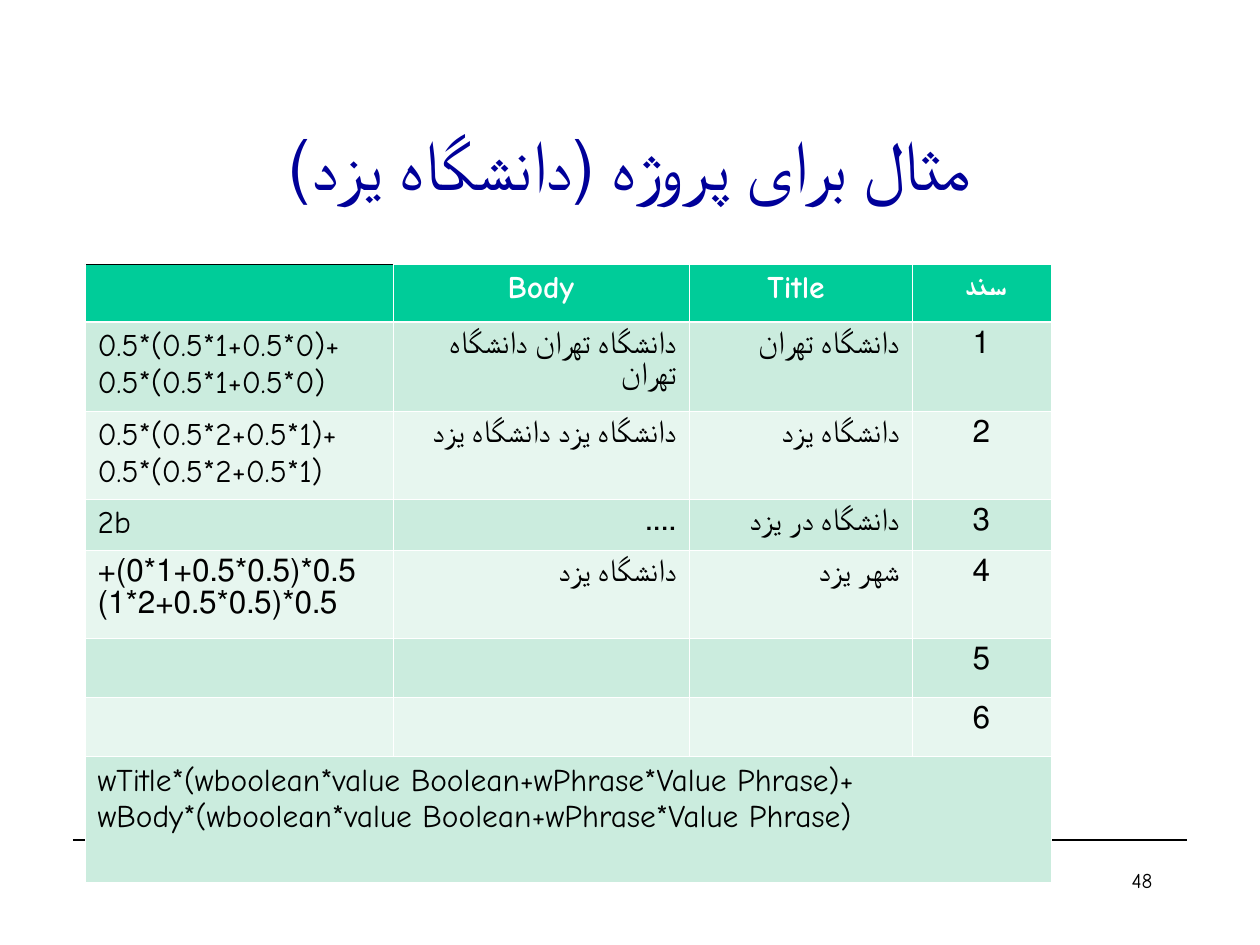
from lxml.etree import SubElement
from pptx import Presentation
from pptx.dml.color import RGBColor
from pptx.enum.shapes import MSO_CONNECTOR
from pptx.enum.text import MSO_ANCHOR, PP_ALIGN as Align
from pptx.oxml.ns import qn
from pptx.util import Emu, Pt

# Content
TITLE = "مثال برای پروژه (دانشگاه یزد)"
PAGE_NUMBER = "48"
HEADER = ["", "Body", " Title", "سند "]
DOCUMENTS = [
    ["0.5*(0.5*1+0.5*0)+\n0.5*(0.5*1+0.5*0)", "دانشگاه تهران دانشگاه تهران", "دانشگاه تهران", "1"],
    ["0.5*(0.5*2+0.5*1)+\n0.5*(0.5*2+0.5*1)", "دانشگاه یزد دانشگاه یزد", "دانشگاه یزد", "2"],
    ["2b", "....", "دانشگاه در یزد", "3"],
    ["0.5*(0.5*1+0.5*0)+\n0.5*(0.5*2+0.5*1)", "دانشگاه یزد", "شهر یزد", "4"],
    ["", "", "", "5"],
    ["", "", "", "6"],
]
FORMULA = ("wTitle*(wboolean*value Boolean+wPhrase*Value Phrase)+\n"
           "wBody*(wboolean*value Boolean+wPhrase*Value Phrase)")
RTL_SCORE_ROWS = (3, 4)

# Format
FONT = "Comic Neue"
COLORS = {"title": "000099", "text": "000000", "white": "FFFFFF",
          "header": "00CC99", "odd": "CBECDE", "even": "E7F6EF"}
COLUMN_WIDTHS = [308, 296, 223, 139]
ROW_HEIGHTS = [58, 89, 88, 51, 88, 59, 59, 126]
COLUMN_ALIGNS = [Align.LEFT, Align.RIGHT, Align.RIGHT, Align.CENTER]
THIN, THICK = 0.45, 1.47


def px(length):
    return Emu(round(length * 914400 / 126))


def color(name):
    return RGBColor.from_string(COLORS[name])


def write(frame, text, size=18, tint="text", bold=False, align=Align.LEFT, rtl=False):
    for index, line in enumerate(text.split("\n")):
        para = frame.paragraphs[0] if index == 0 else frame.add_paragraph()
        para.alignment = align
        if rtl:
            para._p.get_or_add_pPr().set("rtl", "1")
        if not line:
            para.font.size = Pt(size)
            continue
        span = para.add_run()
        span.text = line
        span.font.name = FONT
        span.font.size = Pt(size)
        span.font.bold = bold
        span.font.color.rgb = color(tint)


def set_borders(cell, widths, tints):
    properties = cell._tc.get_or_add_tcPr()
    for side in "LRTB":
        border = SubElement(properties, qn(f"a:ln{side}"), w=str(Pt(widths.get(side, THIN))))
        fill = SubElement(border, qn("a:solidFill"))
        SubElement(fill, qn("a:srgbClr"), val=COLORS[tints.get(side, "white")])


deck = Presentation()
deck.slide_width, deck.slide_height = px(1260), px(945)
page = deck.slides.add_slide(deck.slide_layouts[5])

# Title
title = page.shapes.title
title.left, title.top, title.width, title.height = px(94), px(84), px(1071), px(158)
title.text_frame.vertical_anchor = MSO_ANCHOR.MIDDLE
write(title.text_frame, TITLE, size=40, tint="title", align=Align.CENTER, rtl=True)

# Footer rule and page number
rule = page.shapes.add_connector(MSO_CONNECTOR.STRAIGHT, px(73), px(840), px(1187), px(840))
rule.line.color.rgb = color("text")
rule.line.width = Pt(0.75)
SubElement(rule._element.spPr, qn("a:effectLst"))
number = page.shapes.add_textbox(px(903), px(861), px(262), px(63))
number.text_frame.word_wrap = True
write(number.text_frame, PAGE_NUMBER, size=12, align=Align.RIGHT)

# Scoring table
rows = [HEADER, *DOCUMENTS, [FORMULA, "", "", ""]]
table = page.shapes.add_table(len(rows), len(HEADER), px(85), px(264),
                              px(sum(COLUMN_WIDTHS)), px(sum(ROW_HEIGHTS))).table
table.first_row = table.horz_banding = False
for column, width in zip(table.columns, COLUMN_WIDTHS):
    column.width = px(width)
for row, height in zip(table.rows, ROW_HEIGHTS):
    row.height = px(height)

for r, texts in enumerate(rows):
    header = r == 0
    for c, text in enumerate(texts):
        cell = table.cell(r, c)
        widths = {"B": THICK} if header else {"T": THICK} if r == 1 else {}
        set_borders(cell, widths, {"T": "text"} if header and c == 0 else {})
        cell.fill.solid()
        cell.fill.fore_color.rgb = color("header" if header else "odd" if r % 2 else "even")
        write(cell.text_frame, text, bold=header, tint="white" if header else "text",
              align=Align.CENTER if header else COLUMN_ALIGNS[c],
              rtl=c > 0 or r in RTL_SCORE_ROWS)

last = len(rows) - 1
table.cell(last, 0).merge(table.cell(last, len(HEADER) - 1))

deck.save("out.pptx")
